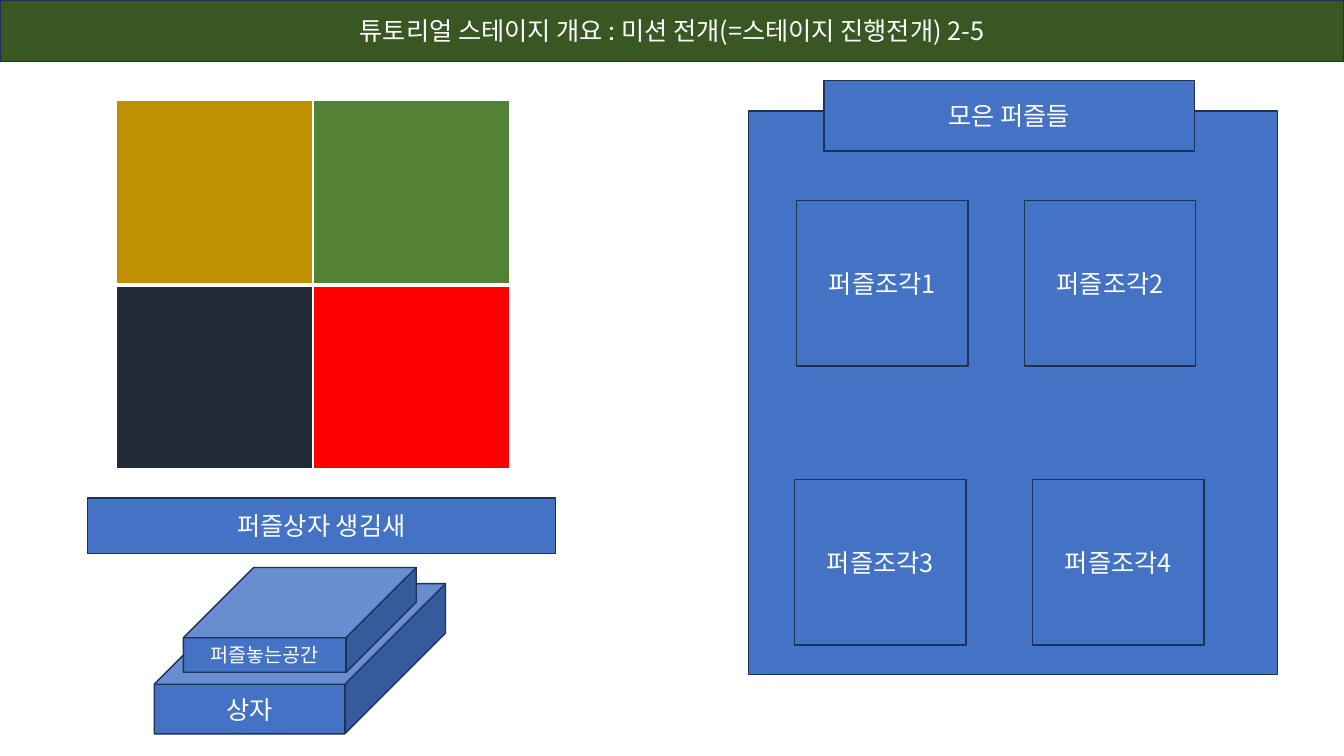
import dataclasses

import pptx
import pptx.dml.color
import pptx.enum.shapes
import pptx.enum.text
import pptx.oxml
import pptx.oxml.ns
import pptx.util

SHAPE = pptx.enum.shapes.MSO_SHAPE
COLS, ROWS = 40, 30


@dataclasses.dataclass(frozen=True)
class Theme:
    font: str = "Noto Sans CJK KR"
    body: int = 18
    small: int = 14
    text: str = "FFFFFF"
    fill: str = "4472C4"
    line: str = "1E3256"
    title: str = "385723"
    puzzle: tuple = (("BF9000", "548235"), ("222A35", "FF0000"))
    border: str = "FFFFFF"


def rgb(value):
    return pptx.dml.color.RGBColor.from_string(value)


class SlideBuilder:
    def __init__(self, prs, theme):
        self.theme = theme
        self.col = prs.slide_width / COLS
        self.row = prs.slide_height / ROWS
        self.slide = prs.slides.add_slide(prs.slide_layouts[5])

    def box(self, x, y, w, h):
        return (round(x * self.col), round(y * self.row),
                round(w * self.col), round(h * self.row))

    def paint(self, sp, fill):
        sp.fill.solid()
        sp.fill.fore_color.rgb = rgb(fill)
        sp.line.color.rgb = rgb(self.theme.line)
        sp.line.width = pptx.util.Pt(1)

    def label(self, sp, text, size):
        tf = sp.text_frame
        tf.text = text
        tf.word_wrap = True
        tf.auto_size = pptx.enum.text.MSO_AUTO_SIZE.NONE
        tf.vertical_anchor = pptx.enum.text.MSO_ANCHOR.MIDDLE
        p = tf.paragraphs[0]
        p.alignment = pptx.enum.text.PP_ALIGN.CENTER
        p.line_spacing = 1.0
        p.space_before = pptx.util.Pt(0)
        for r in p.runs:
            r.font.name = self.theme.font
            r.font.size = pptx.util.Pt(size)
            r.font.color.rgb = rgb(self.theme.text)
            ea = pptx.oxml.parse_xml(
                f'<a:ea {pptx.oxml.ns.nsdecls("a")} typeface="{self.theme.font}"/>')
            r._r.get_or_add_rPr().append(ea)

    def title(self, text, *at):
        sp = self.slide.shapes.title
        sp.left, sp.top, sp.width, sp.height = self.box(*at)
        self.paint(sp, self.theme.title)
        self.label(sp, text, self.theme.body)

    def shape(self, text, *at, kind=SHAPE.RECTANGLE, size=None, depth=None):
        sp = self.slide.shapes.add_shape(kind, *self.box(*at))
        sp.shadow.inherit = False
        self.paint(sp, self.theme.fill)
        if depth is not None:
            sp.adjustments[0] = depth
        if text:
            self.label(sp, text, size or self.theme.body)

    def border(self, cell, side, width):
        ln = pptx.oxml.parse_xml(
            f'<a:ln{side} {pptx.oxml.ns.nsdecls("a")} w="{int(pptx.util.Pt(width))}">'
            f'<a:solidFill><a:srgbClr val="{self.theme.border}"/></a:solidFill>'
            f'</a:ln{side}>')
        cell._tc.get_or_add_tcPr().append(ln)

    def color_table(self, colors, *at):
        table = self.slide.shapes.add_table(
            len(colors), len(colors[0]), *self.box(*at)).table
        table.first_row = table.horz_banding = False
        for i, row in enumerate(colors):
            for j, color in enumerate(row):
                cell = table.cell(i, j)
                widths = {"L": 1, "R": 1, "T": 3 if i else 1, "B": 1 if i else 3}
                for side, width in widths.items():
                    self.border(cell, side, width)
                cell.fill.solid()
                cell.fill.fore_color.rgb = rgb(color)


def main():
    prs = pptx.Presentation()
    prs.slide_width = pptx.util.Inches(13.33)
    prs.slide_height = pptx.util.Inches(7.5)
    theme = Theme()
    b = SlideBuilder(prs, theme)

    b.title("튜토리얼 스테이지 개요 : 미션 전개(=스테이지 진행전개) 2-5", 0, 0, COLS, 2.44)
    b.color_table(theme.puzzle, 3.45, 4, 11.73, 14.6)

    b.shape("", 22.27, 4.4, 15.75, 22.36)
    pieces = ((23.71, 7.96), (30.49, 7.96), (23.65, 19.04), (30.73, 19.04))
    for number, (x, y) in enumerate(pieces, 1):
        b.shape(f"퍼즐조각{number}", x, y, 5.1, 6.56)
    b.shape("모은 퍼즐들", 24.52, 3.2, 11.04, 2.8)

    b.shape("상자", 4.59, 23.16, 8.67, 5.96, kind=SHAPE.CUBE, depth=0.67)
    b.shape("퍼즐놓는공간", 5.46, 22.52, 6.93, 4.16,
            kind=SHAPE.CUBE, size=theme.small, depth=0.67)
    b.shape("퍼즐상자 생김새", 2.61, 19.76, 13.92, 2.2)

    prs.save("out.pptx")


if __name__ == "__main__":
    main()
